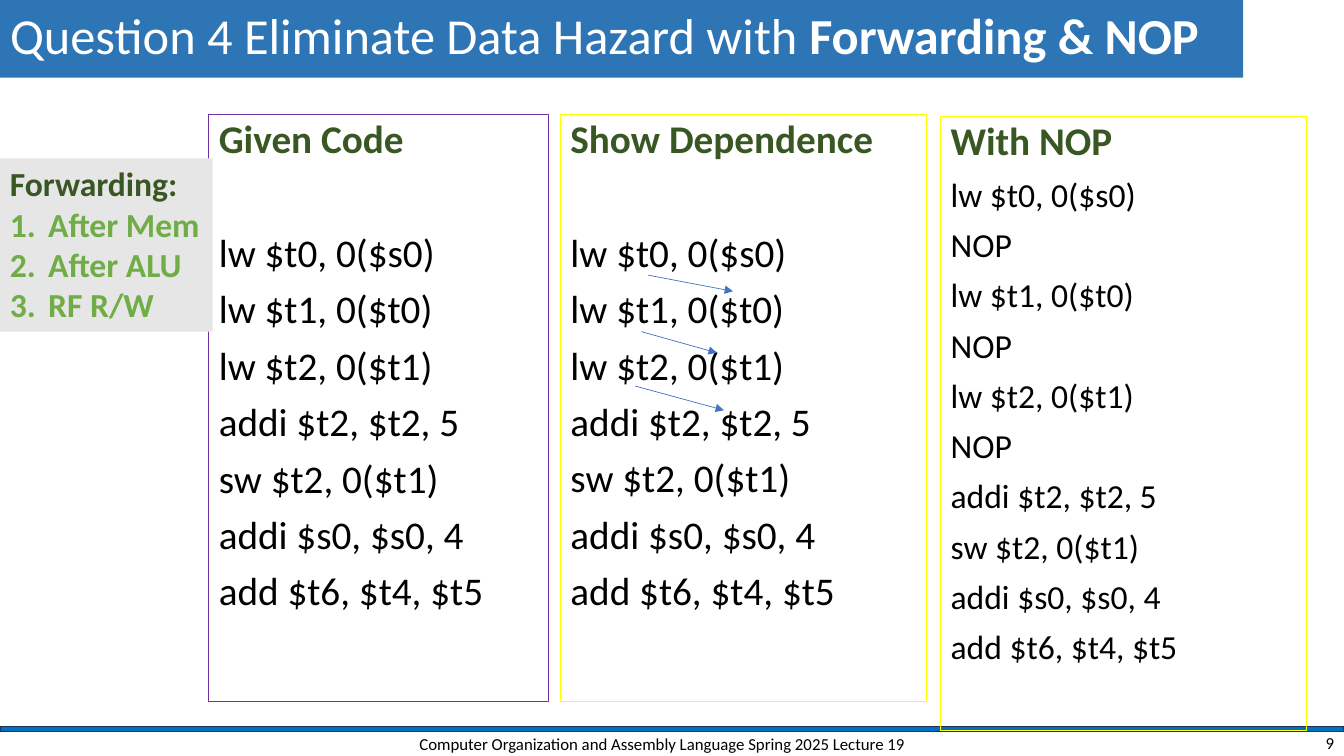
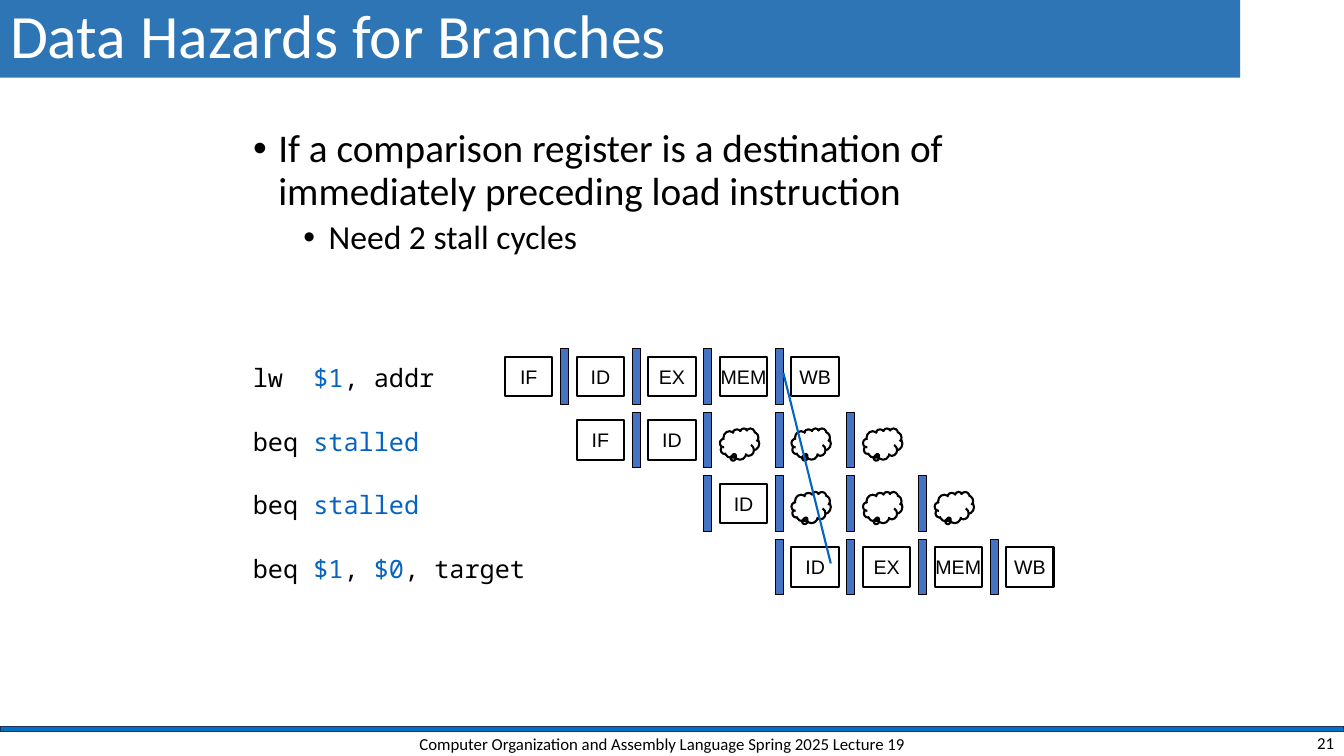
"""Build two lecture slides on data hazards in a pipelined processor."""
from dataclasses import dataclass
from typing import NamedTuple, Optional

from lxml import etree
from pptx import Presentation
from pptx import util as u
from pptx.dml.color import RGBColor
from pptx.enum import shapes, text
from pptx.oxml import ns

WHITE = RGBColor(0xFF, 0xFF, 0xFF)
BLACK = RGBColor(0x00, 0x00, 0x00)
TITLE_BLUE = RGBColor(0x2E, 0x75, 0xB6)
RULE_BLUE = RGBColor(0x00, 0x70, 0xC0)
RULE_EDGE = RGBColor(0x1E, 0x32, 0x56)
ACCENT_BLUE = RGBColor(0x44, 0x72, 0xC4)
REGISTER_BLUE = RGBColor(0x05, 0x63, 0xC1)
DARK_GREEN = RGBColor(0x38, 0x57, 0x23)
LIGHT_GREEN = RGBColor(0x70, 0xAD, 0x47)
PURPLE = RGBColor(0x70, 0x30, 0xA0)
YELLOW = RGBColor(0xFF, 0xFF, 0x00)
PALE_GREY = RGBColor(0xE7, 0xE6, 0xE6)

SLIDE_WIDTH, SLIDE_HEIGHT = 13.33, 7.5
BODY_FONT, CODE_FONT, STAGE_FONT = "Calibri", "Noto Sans Mono", "Arial"
COURSE = "Computer Organization and Assembly Language Spring 2025 Lecture 19"

COLUMN_PITCH, ROW_PITCH = 0.71, 0.63
STAGE_LEFT, STAGE_TOP = 5.01, 3.54
LATCH_LEFT, LATCH_TOP = 5.56, 3.46
LATCHES_PER_ROW = 4
BUBBLE = "bubble"


class Box(NamedTuple):
    left: float
    top: float
    width: float
    height: float

    def emu(self) -> tuple:
        return tuple(u.Inches(length) for length in self)


class Arrow(NamedTuple):
    start: tuple
    end: tuple


class Piece(NamedTuple):
    words: str
    color: RGBColor = BLACK
    bold: bool = False


@dataclass(frozen=True)
class Panel:
    heading: str
    code: tuple
    box: Box
    edge: RGBColor
    size: int = 28
    first_gap: int = 10


@dataclass(frozen=True)
class Instruction:
    pieces: tuple
    first_column: int
    stages: tuple


PROGRAM = ("lw $t0, 0($s0)", "lw $t1, 0($t0)", "lw $t2, 0($t1)", "addi $t2, $t2, 5",
           "sw $t2, 0($t1)", "addi $s0, $s0, 4", "add $t6, $t4, $t5")
STALLED_PROGRAM = tuple(line for load in PROGRAM[:3] for line in (load, "NOP")) + PROGRAM[3:]

PANELS = (
    Panel("Given Code", PROGRAM, Box(2.07, 1.14, 3.37, 5.82), PURPLE, first_gap=51),
    Panel("Show Dependence", PROGRAM, Box(5.56, 1.14, 3.63, 5.82), YELLOW, first_gap=51),
    Panel("With NOP", STALLED_PROGRAM, Box(9.33, 1.16, 3.63, 6.09), YELLOW, size=24),
)
DEPENDENCES = (
    Arrow((6.43, 2.73), (7.27, 2.89)),
    Arrow((6.36, 3.29), (7.11, 3.5)),
    Arrow((6.3, 3.83), (7.18, 4.07)),
)
STALLED = (Piece("beq "), Piece("stalled", REGISTER_BLUE))
PIPELINE = (
    Instruction((Piece("lw  "), Piece("$1", REGISTER_BLUE), Piece(", addr")),
                0, ("IF", "ID", "EX", "MEM", "WB")),
    Instruction(STALLED, 1, ("IF", "ID", BUBBLE, BUBBLE, BUBBLE)),
    Instruction(STALLED, 3, ("ID", BUBBLE, BUBBLE, BUBBLE)),
    Instruction((Piece("beq "), Piece("$1", REGISTER_BLUE), Piece(", "),
                 Piece("$0", REGISTER_BLUE), Piece(", target")),
                4, ("ID", "EX", "MEM", "WB")),
)


def format_runs(paragraph, size: float, color: RGBColor, bold: bool = False,
                font: str = BODY_FONT) -> None:
    for run in paragraph.runs:
        run.font.size = u.Pt(size)
        run.font.name = font
        run.font.bold = bold
        run.font.color.rgb = color


def write_pieces(paragraph, pieces: tuple, size: float, font: str) -> None:
    for piece in pieces:
        run = paragraph.add_run()
        run.text = piece.words
        run.font.size = u.Pt(size)
        run.font.name = font
        run.font.bold = piece.bold
        run.font.color.rgb = piece.color


def set_bullet(paragraph, left: float, hanging: float, kind: str, **attributes: str) -> None:
    properties = paragraph._p.get_or_add_pPr()
    properties.set("marL", str(u.Inches(left)))
    properties.set("indent", str(-u.Inches(hanging)))
    etree.SubElement(properties, ns.qn(f"a:{kind}"), attributes)


def place(shape, box: Box) -> None:
    shape.left, shape.top, shape.width, shape.height = box.emu()


def set_frame(frame, anchor=text.MSO_ANCHOR.TOP) -> None:
    frame.word_wrap = True
    frame.auto_size = text.MSO_AUTO_SIZE.NONE
    frame.vertical_anchor = anchor


def add_outline(slide, kind, box: Box, edge: RGBColor, width: float,
                fill: Optional[RGBColor] = None):
    shape = slide.shapes.add_shape(kind, *box.emu())
    shape.shadow.inherit = False
    if fill is None:
        shape.fill.background()
    else:
        shape.fill.solid()
        shape.fill.fore_color.rgb = fill
    shape.line.color.rgb = edge
    shape.line.width = u.Pt(width)
    return shape


def add_line(slide, arrow: Arrow, color: RGBColor, width: float, head: bool) -> None:
    ends = [u.Inches(length) for length in (*arrow.start, *arrow.end)]
    line = slide.shapes.add_connector(shapes.MSO_CONNECTOR.STRAIGHT, *ends)
    line.line.color.rgb = color
    line.line.width = u.Pt(width)
    if head:
        etree.SubElement(line.line._get_or_add_ln(), ns.qn("a:tailEnd"), {"type": "triangle"})
    etree.SubElement(line._element.spPr, ns.qn("a:effectLst"))


def add_footer_text(slide, words: str, box: Box, alignment) -> None:
    footer = slide.shapes.add_textbox(*box.emu())
    set_frame(footer.text_frame, text.MSO_ANCHOR.MIDDLE)
    footer.text_frame.text = words
    paragraph = footer.text_frame.paragraphs[0]
    paragraph.alignment = alignment
    format_runs(paragraph, 12, BLACK)


def start_slide(deck, title_pieces: tuple, title_box: Box, title_size: float, number: str):
    slide = deck.slides.add_slide(deck.slide_layouts[1])
    title = slide.shapes.title
    place(title, title_box)
    title.fill.solid()
    title.fill.fore_color.rgb = TITLE_BLUE
    set_frame(title.text_frame, text.MSO_ANCHOR.MIDDLE)
    heading = title.text_frame.paragraphs[0]
    heading.alignment = text.PP_ALIGN.LEFT
    heading.line_spacing = 0.9
    write_pieces(heading, title_pieces, title_size, BODY_FONT)

    add_outline(slide, shapes.MSO_SHAPE.RECTANGLE, Box(0, 7.21, SLIDE_WIDTH, 0.05),
                RULE_EDGE, 1, RULE_BLUE)
    add_footer_text(slide, COURSE, Box(3.92, 7.24, 5.3, 0.28), text.PP_ALIGN.CENTER)
    add_footer_text(slide, number, Box(SLIDE_WIDTH - 3, 7.24, 3, 0.25), text.PP_ALIGN.RIGHT)
    return slide


def fill_panel(shape, panel: Panel) -> None:
    place(shape, panel.box)
    shape.line.color.rgb = panel.edge
    shape.line.width = u.Pt(0.75)
    set_frame(shape.text_frame)
    shape.text_frame.text = "\n".join((panel.heading, *panel.code))
    for index, paragraph in enumerate(shape.text_frame.paragraphs):
        paragraph.line_spacing = 0.9
        paragraph.space_before = u.Pt(panel.first_gap if index == 1 else 10)
        set_bullet(paragraph, 0, 0, "buNone")
        if index == 0:
            format_runs(paragraph, 28, DARK_GREEN, bold=True)
        else:
            format_runs(paragraph, panel.size, BLACK)


def add_forwarding_note(slide) -> None:
    note = slide.shapes.add_textbox(*Box(0, 1.57, 2.11, 1.72).emu())
    note.fill.solid()
    note.fill.fore_color.rgb = PALE_GREY
    set_frame(note.text_frame)
    note.text_frame.text = "Forwarding:\nAfter Mem\nAfter ALU\nRF R/W"
    heading, *places = note.text_frame.paragraphs
    format_runs(heading, 24, DARK_GREEN, bold=True)
    for paragraph in places:
        set_bullet(paragraph, 0.38, 0.38, "buAutoNum", type="arabicPeriod")
        format_runs(paragraph, 24, LIGHT_GREEN, bold=True)


def build_forwarding_slide(deck) -> None:
    title = (Piece("Question 4 Eliminate Data Hazard with ", WHITE),
             Piece("Forwarding & NOP", WHITE, True))
    slide = start_slide(deck, title, Box(0, -0.02, 12.33, 0.79), 36, "9")
    given, *worked = PANELS
    fill_panel(slide.placeholders[1], given)
    for panel in worked:
        fill_panel(slide.shapes.add_textbox(*panel.box.emu()), panel)
    for dependence in DEPENDENCES:
        add_line(slide, dependence, ACCENT_BLUE, 0.5, head=True)
    add_forwarding_note(slide)


def add_stage(slide, stage: str, column: int, row: int) -> None:
    left = STAGE_LEFT + column * COLUMN_PITCH
    top = STAGE_TOP + row * ROW_PITCH
    if stage == BUBBLE:
        cloud = add_outline(slide, shapes.MSO_SHAPE.CLOUD_CALLOUT,
                            Box(left, top + 0.08, 0.39, 0.31), BLACK, 1.5)
        cloud.adjustments[0], cloud.adjustments[1] = -0.13, 0.36
        return
    block = add_outline(slide, shapes.MSO_SHAPE.RECTANGLE, Box(left, top, 0.47, 0.39), BLACK, 1.5)
    frame = block.text_frame
    set_frame(frame, text.MSO_ANCHOR.MIDDLE)
    frame.word_wrap = False
    frame.margin_left = frame.margin_right = frame.margin_top = frame.margin_bottom = 0
    frame.text = stage
    frame.paragraphs[0].alignment = text.PP_ALIGN.CENTER
    format_runs(frame.paragraphs[0], 14, BLACK, font=STAGE_FONT)


def add_instruction(slide, instruction: Instruction, row: int) -> None:
    label = slide.shapes.add_textbox(*Box(2.41, 3.55 + row * ROW_PITCH, 3.1, 0.4).emu())
    set_frame(label.text_frame)
    write_pieces(label.text_frame.paragraphs[0], instruction.pieces, 18, CODE_FONT)
    for column, stage in enumerate(instruction.stages, instruction.first_column):
        add_stage(slide, stage, column, row)
    for column in range(row, row + LATCHES_PER_ROW):
        latch = Box(LATCH_LEFT + column * COLUMN_PITCH, LATCH_TOP + row * ROW_PITCH, 0.08, 0.55)
        add_outline(slide, shapes.MSO_SHAPE.RECTANGLE, latch, BLACK, 0.75, ACCENT_BLUE)


def build_branch_slide(deck) -> None:
    title = (Piece("Data Hazards for Branches", WHITE),)
    slide = start_slide(deck, title, Box(0, 0, 12.3, 0.77), 44, "21")
    body = slide.placeholders[1]
    place(body, Box(2.41, 1.23, 9.05, 2.6))
    set_frame(body.text_frame)
    body.text_frame.text = ("If a comparison register is a destination of immediately "
                            "preceding load instruction\nNeed 2 stall cycles")
    styles = ((28, 10, 0.25), (24, 5, 0.75))
    for level, (paragraph, (size, gap, left)) in enumerate(zip(body.text_frame.paragraphs, styles)):
        paragraph.level = level
        paragraph.line_spacing = 0.9
        paragraph.space_before = u.Pt(gap)
        set_bullet(paragraph, left, 0.25, "buChar", char="•")
        format_runs(paragraph, size, BLACK)
    for row, instruction in enumerate(PIPELINE):
        add_instruction(slide, instruction, row)
    add_line(slide, Arrow((7.77, 3.7), (8.24, 5.59)), REGISTER_BLUE, 1.5, head=False)


def main() -> None:
    deck = Presentation()
    deck.slide_width, deck.slide_height = u.Inches(SLIDE_WIDTH), u.Inches(SLIDE_HEIGHT)
    build_forwarding_slide(deck)
    build_branch_slide(deck)
    deck.save("out.pptx")


if __name__ == "__main__":
    main()
